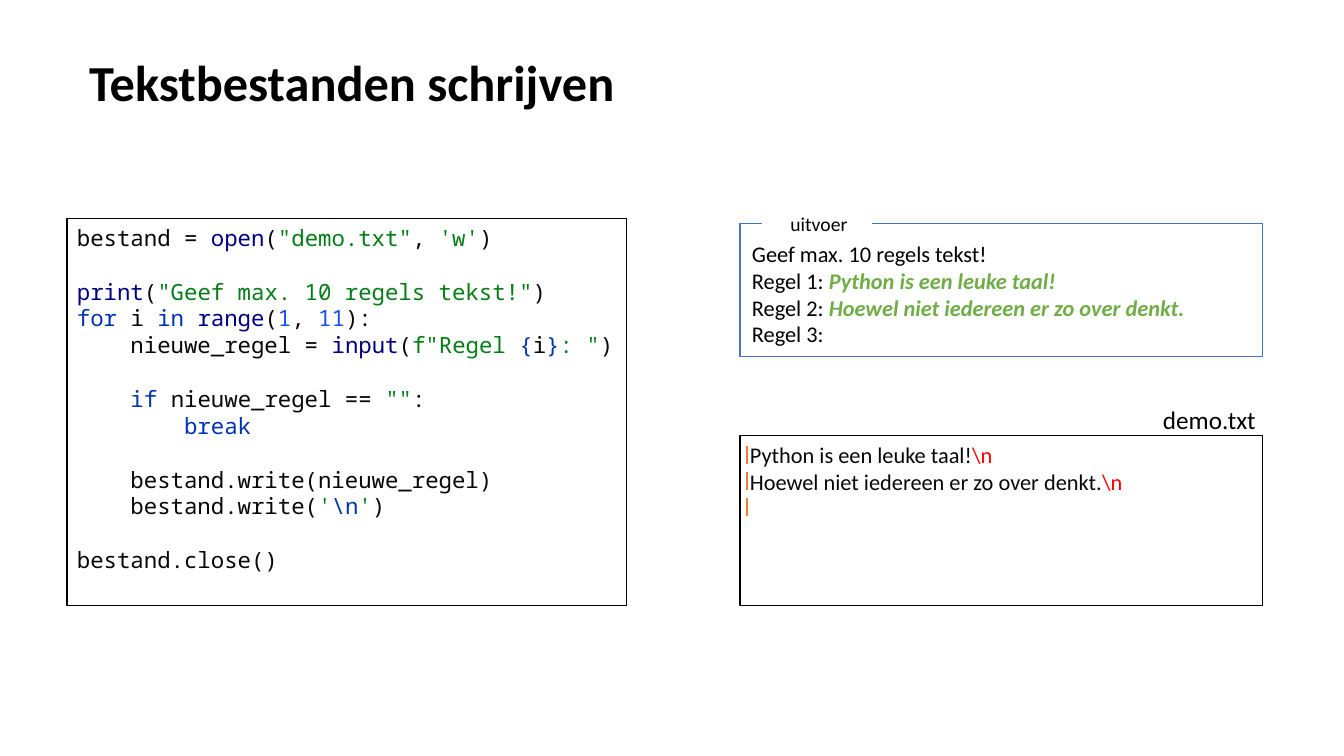
from copy import deepcopy
from dataclasses import dataclass

from lxml import etree
from pptx import Presentation
from pptx import util as u
from pptx.dml.color import RGBColor
from pptx.enum import shapes, text
from pptx.oxml.ns import qn

PX = 914400 / 100.8


@dataclass(frozen=True)
class Theme:
    sans: str = "Calibri"
    mono: str = "Noto Sans Mono"
    black: str = "000000"
    white: str = "FFFFFF"
    frame: str = "4472C4"
    caret: str = "ED7D31"
    typed: str = "70AD47"
    newline: str = "FF0000"
    plain: str = "080808"
    builtin: str = "000080"
    string: str = "067D17"
    keyword: str = "0033B3"
    number: str = "1750EB"
    escape: str = "0037A6"
    title_size: int = 36
    label_size: int = 18
    body_size: int = 16
    caption_size: int = 14


THEME = Theme()

CODE = [
    [("bestand = ", THEME.plain), ("open", THEME.builtin), ("(", THEME.plain),
     ('"demo.txt"', THEME.string), (", ", THEME.plain), ("'w'", THEME.string),
     (")", THEME.plain)],
    [],
    [("print", THEME.builtin), ("(", THEME.plain),
     ('"Geef max. 10 regels tekst!"', THEME.string), (")", THEME.plain)],
    [("for ", THEME.keyword), ("i ", THEME.plain), ("in ", THEME.keyword),
     ("range", THEME.builtin), ("(", THEME.plain), ("1", THEME.number),
     (", ", THEME.plain), ("11", THEME.number), ("):", THEME.plain)],
    [("    nieuwe_regel = ", THEME.plain), ("input", THEME.builtin),
     ("(", THEME.plain), ('f"Regel ', THEME.string), ("{", THEME.escape),
     ("i", THEME.plain), ("}", THEME.escape), (': "', THEME.string),
     (")", THEME.plain)],
    [],
    [("    if ", THEME.keyword), ("nieuwe_regel == ", THEME.plain),
     ('""', THEME.string), (":", THEME.plain)],
    [("        break", THEME.keyword)],
    [],
    [("    bestand.write(nieuwe_regel)", THEME.plain)],
    [("    bestand.write(", THEME.plain), ("'", THEME.string),
     ("\\n", THEME.escape), ("'", THEME.string), (")", THEME.plain)],
    [],
    [("bestand.close()", THEME.plain)],
]

OUTPUT = [
    [("Geef max. 10 regels tekst!", THEME.black)],
    [("Regel 1: ", THEME.black), ("Python is een leuke taal!", THEME.typed)],
    [("Regel 2: ", THEME.black),
     ("Hoewel niet iedereen er zo over denkt.", THEME.typed)],
    [("Regel 3:", THEME.black)],
]

FILE_LINES = [
    [(sentence, THEME.plain), ("\\n", THEME.newline)]
    for sentence in ("Python is een leuke taal!",
                     "Hoewel niet iedereen er zo over denkt.")
]


def px(*lengths):
    return [u.Emu(round(length * PX)) for length in lengths]


def style(font, size, color, name=THEME.sans, bold=False, italic=False):
    font.size, font.name = u.Pt(size), name
    font.bold, font.italic = bold, italic
    font.color.rgb = RGBColor.from_string(color)


def add_line(paragraph, line, name=THEME.sans):
    for words, color in line:
        run = paragraph.add_run()
        run.text = words
        emphasis = color == THEME.typed
        style(run.font, THEME.body_size, color, name, emphasis, emphasis)


def add_panel(slide, place, border=None):
    panel = slide.shapes.add_shape(shapes.MSO_SHAPE.RECTANGLE, *px(*place))
    panel.shadow.inherit = False
    panel.fill.solid()
    panel.fill.fore_color.rgb = RGBColor.from_string(THEME.white)
    if border:
        panel.line.color.rgb = RGBColor.from_string(border)
        panel.line.width = u.Pt(0.75)
    else:
        panel.line.fill.background()
    frame = panel.text_frame
    frame.word_wrap = True
    frame.vertical_anchor = text.MSO_ANCHOR.TOP
    frame.paragraphs[0].alignment = text.PP_ALIGN.LEFT
    return frame


def set_margins(frame, left, top, right, bottom):
    (frame.margin_left, frame.margin_top,
     frame.margin_right, frame.margin_bottom) = px(left, top, right, bottom)


def add_paragraphs(frame, lines):
    for index, line in enumerate(lines):
        paragraph = frame.add_paragraph() if index else frame.paragraphs[0]
        paragraph.alignment = text.PP_ALIGN.LEFT
        add_line(paragraph, line)


def add_code(slide, place, lines):
    listing = add_panel(slide, place, THEME.black).paragraphs[0]
    for index, line in enumerate(lines):
        if index:
            listing.add_line_break()
        add_line(listing, line, THEME.mono)
    look = listing.runs[0].font._element
    for line_break in listing._p.findall(qn("a:br")):
        line_break.append(deepcopy(look))


def add_title(slide, place, words):
    title = slide.shapes.title
    title.left, title.top, title.width, title.height = px(*place)
    title.text_frame.text = words
    title.text_frame.vertical_anchor = text.MSO_ANCHOR.MIDDLE
    heading = title.text_frame.paragraphs[0]
    heading.alignment = text.PP_ALIGN.LEFT
    style(heading.runs[0].font, THEME.title_size, THEME.black, bold=True)


def add_label(slide, place, words):
    frame = slide.shapes.add_textbox(*px(*place)).text_frame
    frame.word_wrap = True
    frame.text = words
    style(frame.paragraphs[0].runs[0].font, THEME.label_size, THEME.black)


def add_caption(slide, place, words):
    frame = add_panel(slide, place)
    set_margins(frame, 4, 0, 0, 0)
    frame.text = words
    caption = frame.paragraphs[0]
    caption.alignment = text.PP_ALIGN.CENTER
    style(caption.runs[0].font, THEME.caption_size, THEME.black)


def add_caret(slide, x, top, height):
    caret = slide.shapes.add_connector(
        shapes.MSO_CONNECTOR.STRAIGHT, *px(x, top, x, top + height))
    caret.line.color.rgb = RGBColor.from_string(THEME.caret)
    caret.line.width = u.Pt(1.5)
    etree.SubElement(caret._element.spPr, qn("a:effectLst"))


def main():
    deck = Presentation()
    deck.slide_width, deck.slide_height = px(1344, 756)
    slide = deck.slides.add_slide(deck.slide_layouts.get_by_name("Title Only"))

    add_title(slide, (79, 0, 857, 162), "Tekstbestanden schrijven")
    add_code(slide, (67, 219, 560, 387), CODE)

    output = add_panel(slide, (740, 224, 523, 133), THEME.frame)
    set_margins(output, 12, 16, 12, 8)
    add_paragraphs(output, OUTPUT)
    add_caption(slide, (762, 212, 110, 24), "uitvoer")

    add_label(slide, (1153, 399, 118, 40), "demo.txt")
    add_paragraphs(add_panel(slide, (740, 436, 523, 170), THEME.black), FILE_LINES)
    for row in range(3):
        add_caret(slide, 747, 446 + 26 * row, 18)

    deck.save("out.pptx")


if __name__ == "__main__":
    main()
